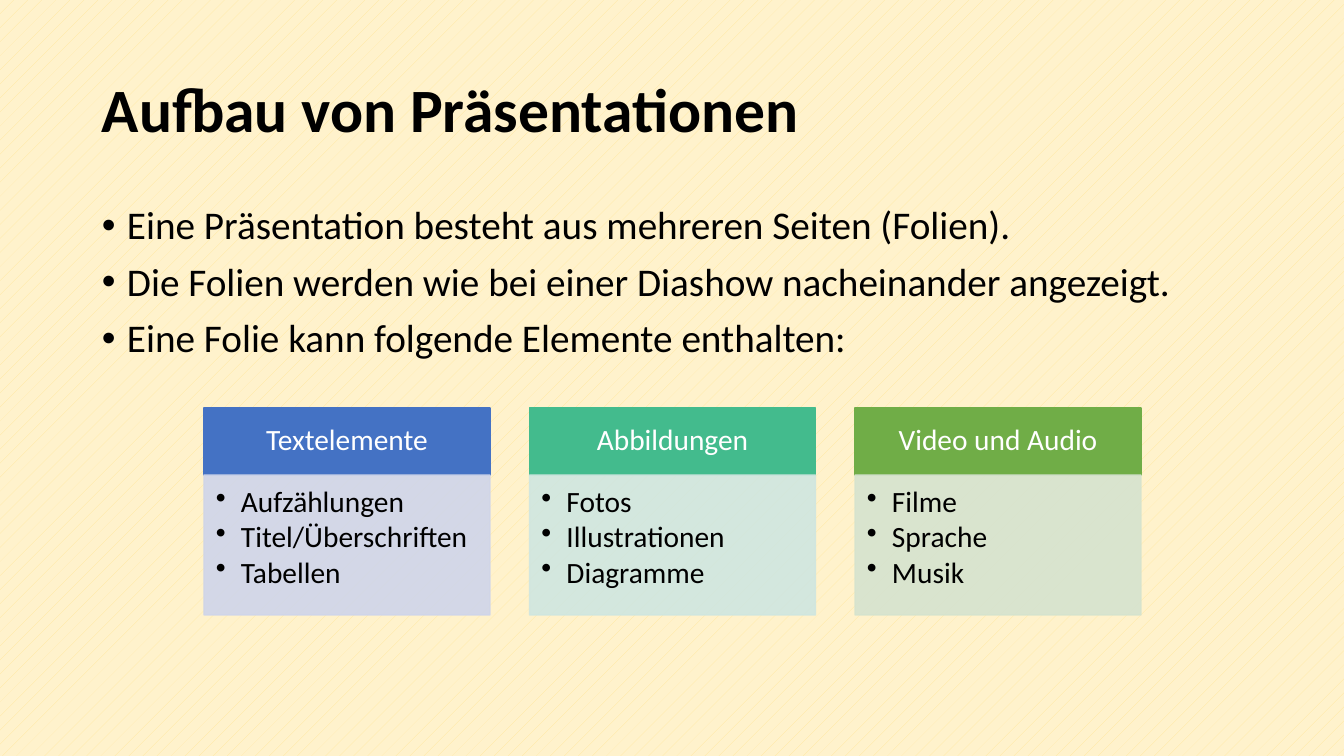
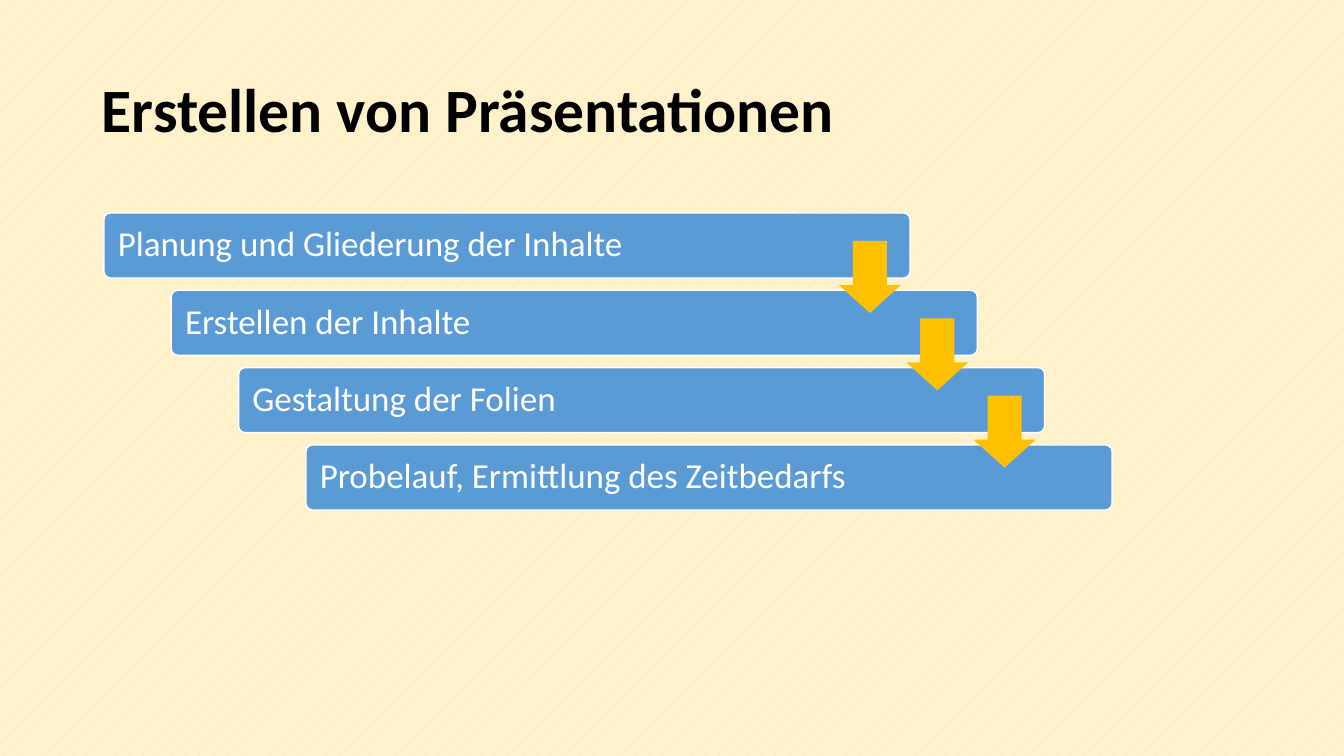
"""Build two slides on how presentations are structured and made."""
from lxml import etree
from pptx import Presentation
from pptx import util as u
from pptx.dml.color import RGBColor
from pptx.enum import dml, shapes, text
from pptx.oxml import ns

PX = 914400 / 100.8
FONT = "Calibri"
BLACK = RGBColor(0, 0, 0)
WHITE = RGBColor(255, 255, 255)
CREAM = RGBColor(0xFF, 0xF2, 0xCC)
SAND = RGBColor(0xFF, 0xE6, 0x99)
BLUE = RGBColor(0x44, 0x72, 0xC4)
PALE_BLUE = RGBColor(0xCF, 0xD5, 0xEA)
TEAL = RGBColor(0x43, 0xBB, 0x8D)
PALE_TEAL = RGBColor(0xCF, 0xE6, 0xE0)
GREEN = RGBColor(0x70, 0xAD, 0x47)
PALE_GREEN = RGBColor(0xD5, 0xE3, 0xCF)
SKY = RGBColor(0x5B, 0x9B, 0xD5)
AMBER = RGBColor(0xFF, 0xC0, 0x00)

STRUCTURE_TITLE = "Aufbau von Präsentationen"
STRUCTURE_POINTS = [
    "Eine Präsentation besteht aus mehreren Seiten (Folien).",
    "Die Folien werden wie bei einer Diashow nacheinander angezeigt.",
    "Eine Folie kann folgende Elemente enthalten:",
]
ELEMENTS = [
    ("Textelemente", BLUE, PALE_BLUE, ["Aufzählungen", "Titel/Überschriften", "Tabellen"]),
    ("Abbildungen", TEAL, PALE_TEAL, ["Fotos", "Illustrationen", "Diagramme"]),
    ("Video und Audio", GREEN, PALE_GREEN, ["Filme", "Sprache", "Musik"]),
]
CREATION_TITLE = "Erstellen von Präsentationen"
STEPS = [
    "Planung und Gliederung der Inhalte",
    "Erstellen der Inhalte",
    "Gestaltung der Folien",
    "Probelauf, Ermittlung des Zeitbedarfs",
]


def px(length):
    return u.Emu(round(length * PX))


def spread(start, end, size, count):
    step = (end - start - size) / (count - 1)
    return [start + step * index for index in range(count)]


def place(shape, left, top, width, height):
    shape.left, shape.top, shape.width, shape.height = map(px, (left, top, width, height))


def write(shape, lines, size, color=BLACK, bold=False, align=text.PP_ALIGN.LEFT,
          anchor=text.MSO_ANCHOR.MIDDLE, insets=(10, 5, 10, 5), bullet=False,
          before=0, after=0):
    frame = shape.text_frame
    frame.word_wrap = True
    frame.auto_size = text.MSO_AUTO_SIZE.NONE
    frame.vertical_anchor = anchor
    (frame.margin_left, frame.margin_top,
     frame.margin_right, frame.margin_bottom) = map(px, insets)
    for index, line in enumerate(lines):
        para = frame.add_paragraph() if index else frame.paragraphs[0]
        para.alignment = align
        para.line_spacing = 0.9
        para.space_before = u.Pt(before if index else 0)
        para.space_after = u.Pt(after)
        if bullet:
            props = para._p.get_or_add_pPr()
            props.set("marL", str(px(25)))
            props.set("indent", str(-px(25)))
            etree.SubElement(props, ns.qn("a:buChar")).set("char", "•")
        span = para.add_run()
        span.text = line
        span.font.name = FONT
        span.font.size = u.Pt(size)
        span.font.bold = bold
        span.font.color.rgb = color


def add_block(page, kind, area, fill, line=None, alpha=None):
    block = page.shapes.add_shape(kind, *map(px, area))
    block.shadow.inherit = False
    block.fill.solid()
    block.fill.fore_color.rgb = fill
    if line is None:
        block.line.fill.background()
    else:
        block.line.color.rgb = line
        block.line.width = u.Pt(1)
    if alpha:
        for color in block._element.spPr.iter(ns.qn("a:srgbClr")):
            etree.SubElement(color, ns.qn("a:alpha")).set("val", str(alpha * 1000))
    return block


def add_page(deck, layout, title):
    page = deck.slides.add_slide(deck.slide_layouts[layout])
    place(page.shapes.title, 92, 40, 1159, 146)
    write(page.shapes.title, [title], 44, bold=True)
    return page


def build_structure(deck):
    page = add_page(deck, 1, STRUCTURE_TITLE)
    body = page.placeholders[1]
    place(body, 92, 201, 1159, 480)
    write(body, STRUCTURE_POINTS, 28, anchor=text.MSO_ANCHOR.TOP, bullet=True, before=10)
    width = 286
    rect = shapes.MSO_SHAPE.RECTANGLE
    lefts = spread(204, 1141, width, len(ELEMENTS))
    for left, (heading, strong, pale, items) in zip(lefts, ELEMENTS):
        head = add_block(page, rect, (left, 408, width, 67), strong, strong)
        write(head, [heading], 21, WHITE, align=text.PP_ALIGN.CENTER, insets=(16, 9, 16, 9))
        panel = add_block(page, rect, (left, 475, width, 140), pale, pale, alpha=90)
        write(panel, items, 21, anchor=text.MSO_ANCHOR.TOP, insets=(12, 12, 16, 18),
              bullet=True, after=2.6)


def build_creation(deck):
    page = add_page(deck, 5, CREATION_TITLE)
    width, height = 806, 65
    corners = list(zip(spread(104, 1112, width, len(STEPS)),
                       spread(213, 510, height, len(STEPS))))
    for (left, top), step in zip(corners, STEPS):
        bar = add_block(page, shapes.MSO_SHAPE.ROUNDED_RECTANGLE,
                        (left, top, width, height), SKY, WHITE)
        bar.adjustments[0] = 0.1
        write(bar, [step], 25, WHITE, insets=(12, 10, 12, 10))
    for left, top in corners[:-1]:
        arrow = add_block(page, shapes.MSO_SHAPE.DOWN_ARROW,
                          (left + 735, top + 28, 62, 72), AMBER)
        arrow.adjustments[0] = 0.55
        arrow.adjustments[1] = 0.45


def main():
    deck = Presentation()
    deck.slide_width, deck.slide_height = px(1344), px(756)
    backdrop = deck.slide_master.background.fill
    backdrop.patterned()
    backdrop.pattern = dml.MSO_PATTERN.PERCENT_5
    backdrop.fore_color.rgb = SAND
    backdrop.back_color.rgb = CREAM
    build_structure(deck)
    build_creation(deck)
    deck.save("out.pptx")


if __name__ == "__main__":
    main()
